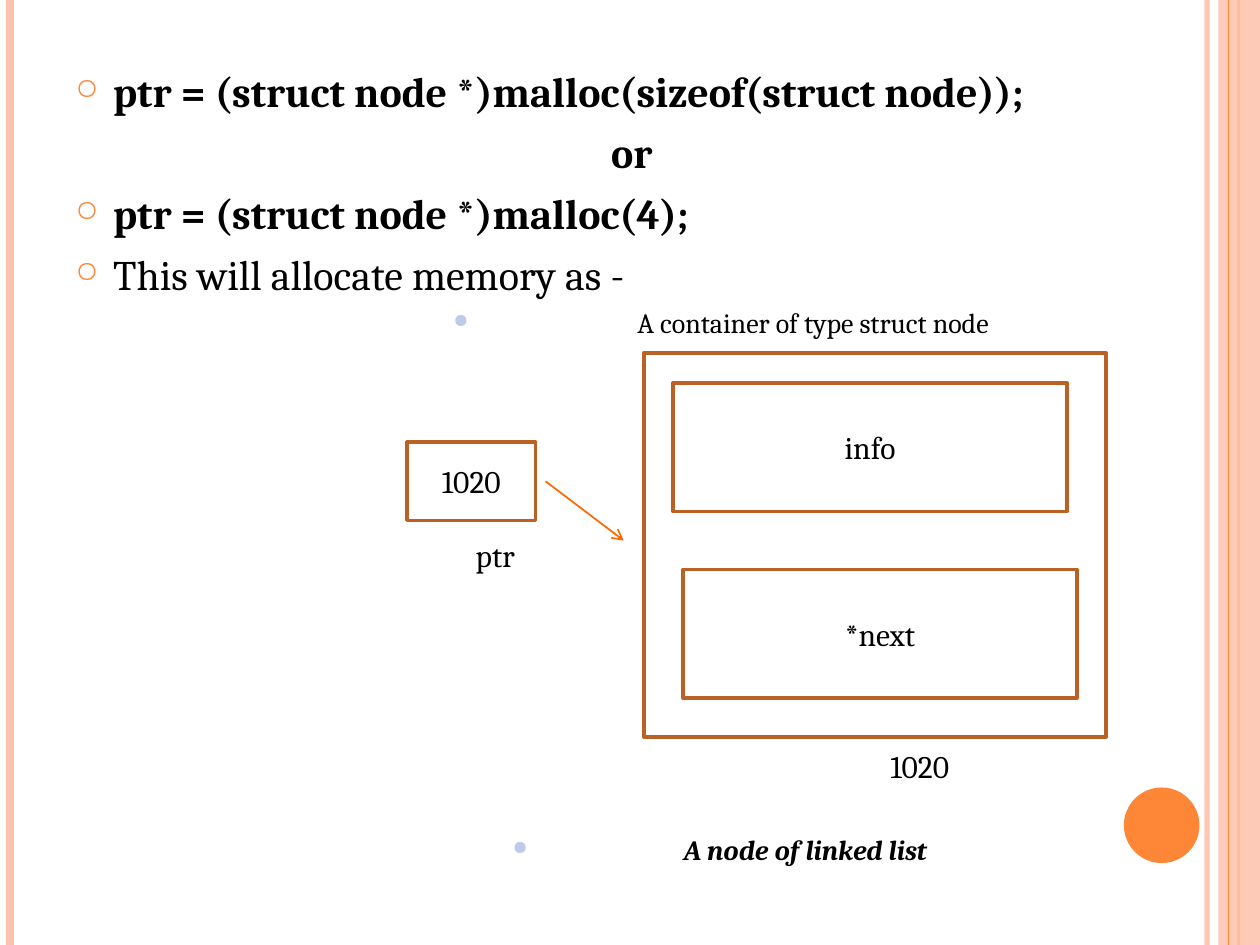
from lxml import etree
from pptx import Presentation
from pptx.dml.color import RGBColor
from pptx.enum.shapes import MSO_CONNECTOR, MSO_SHAPE
from pptx.enum.text import MSO_ANCHOR, PP_ALIGN
from pptx.oxml.ns import qn
from pptx.util import Inches, Pt

STRAIGHT = MSO_CONNECTOR.STRAIGHT
RECTANGLE, OVAL = MSO_SHAPE.RECTANGLE, MSO_SHAPE.OVAL
LEFT, CENTER = PP_ALIGN.LEFT, PP_ALIGN.CENTER
MIDDLE = MSO_ANCHOR.MIDDLE
FONT = "Cambria"
COLORS = {
    "peach": "FEC3AE",
    "orange": "FE8637",
    "arrow": "FF6903",
    "outline": "BB6126",
    "pale blue": "BDCAE9",
    "text": "000000",
}


def add_line(shapes, start, end, color, width):
    line = shapes.add_connector(STRAIGHT, *[Inches(v) for v in start + end])
    line.line.color.rgb = RGBColor.from_string(COLORS[color])
    line.line.width = Pt(width)
    etree.SubElement(line._element.spPr, qn("a:effectLst"))
    return line


def add_text(para, text, size, bold=False, italic=False):
    span = para.add_run()
    span.text = text
    span.font.name = FONT
    span.font.size = Pt(size)
    span.font.bold = bold
    span.font.italic = italic
    span.font.color.rgb = RGBColor.from_string(COLORS["text"])


deck = Presentation()
deck.slide_width, deck.slide_height = Inches(10), Inches(7.5)
page = deck.slides.add_slide(deck.slide_layouts[6])

# Side stripes, band and disc
stripes = [
    add_line(page.shapes, (x, 0), (x, 7.5), color, width)
    for x, color, width in [(9.58, "peach", 3), (0.08, "peach", 4.5), (9.83, "orange", 1.5)]
]
band = page.shapes.add_shape(RECTANGLE, Inches(9.67), 0, Inches(0.33), Inches(7.5))
add_line(page.shapes, (9.75, 0), (9.75, 7.5), "orange", 0.75)
disc = page.shapes.add_shape(OVAL, Inches(8.92), Inches(6.25), Inches(0.6), Inches(0.6))
for shape, color in [(band, "peach"), (disc, "orange")]:
    shape.shadow.inherit = False
    shape.fill.solid()
    shape.fill.fore_color.rgb = RGBColor.from_string(COLORS[color])
    shape.line.fill.background()
for shape, opacity in [(stripes[0], 93), (band, 87)]:
    tint = next(shape._element.spPr.iter(qn("a:srgbClr")))
    etree.SubElement(tint, qn("a:alpha"), val=str(opacity * 1000))

# Body text: text, size, bold, italic, alignment, margin, indent, space before, bullet
RING = ("○", "orange", 70)
DOT = ("●", "pale blue", 68)
body_lines = [
    ("ptr = (struct node *)malloc(sizeof(struct node));", 24, True, False, LEFT, 0.3, -0.3, 6, RING),
    ("or", 24, True, False, CENTER, 0.3, -0.3, 6, None),
    ("ptr = (struct node *)malloc(4);", 24, True, False, LEFT, 0.3, -0.3, 6, RING),
    ("This will allocate memory as -", 24, False, False, LEFT, 0.3, -0.3, 6, RING),
    ("A container of type struct node", 16, False, False, LEFT, 4.46, -1.46, 4, DOT),
    ("A node of linked list", 16, True, True, LEFT, 4.83, -1.36, 282, DOT),
]
body = page.shapes.add_textbox(Inches(0.5), Inches(0.47), Inches(9.03), Inches(6.61))
body.text_frame.word_wrap = True
for index, (text, size, bold, italic, align, margin, indent, before, bullet) in enumerate(body_lines):
    para = body.text_frame.add_paragraph() if index else body.text_frame.paragraphs[0]
    para.alignment = align
    para.space_before = Pt(before)
    props = para._p.get_or_add_pPr()
    props.set("marL", str(Inches(margin)))
    props.set("indent", str(Inches(indent)))
    if bullet:
        char, color, percent = bullet
        tint = etree.SubElement(props, qn("a:buClr"))
        etree.SubElement(tint, qn("a:srgbClr"), val=COLORS[color])
        etree.SubElement(props, qn("a:buSzPct"), val=str(percent * 1000))
        etree.SubElement(props, qn("a:buChar"), char=char)
    else:
        etree.SubElement(props, qn("a:buNone"))
    add_text(para, text, size, bold, italic)

# Node diagram: outlined boxes and plain labels
diagram = page.shapes.add_group_shape().shapes
diagram_parts = [
    ("", 5.11, 2.8, 3.67, 3.05, True),
    ("info", 5.34, 3.04, 3.13, 1.02, True),
    ("*next", 5.42, 4.52, 3.13, 1.02, True),
    ("1020", 3.23, 3.51, 1.02, 0.62, True),
    ("ptr", 3.62, 4.29, 0.62, 0.23, False),
    ("1020", 6.52, 5.77, 1.56, 0.62, False),
]
for text, left, top, width, height, outlined in diagram_parts:
    place = [Inches(v) for v in (left, top, width, height)]
    if outlined:
        box = diagram.add_shape(RECTANGLE, *place)
        box.shadow.inherit = False
        box.fill.background()
        box.line.color.rgb = RGBColor.from_string(COLORS["outline"])
        box.line.width = Pt(2)
    else:
        box = diagram.add_textbox(*place)
    if text:
        box.text_frame.word_wrap = True
        box.text_frame.vertical_anchor = MIDDLE
        para = box.text_frame.paragraphs[0]
        para.alignment = CENTER
        add_text(para, text, 18)

# Pointer arrow
pointer = add_line(diagram, (4.33, 3.82), (4.95, 4.29), "arrow", 1)
etree.SubElement(pointer.line._get_or_add_ln(), qn("a:tailEnd"), type="arrow")

deck.save("out.pptx")
